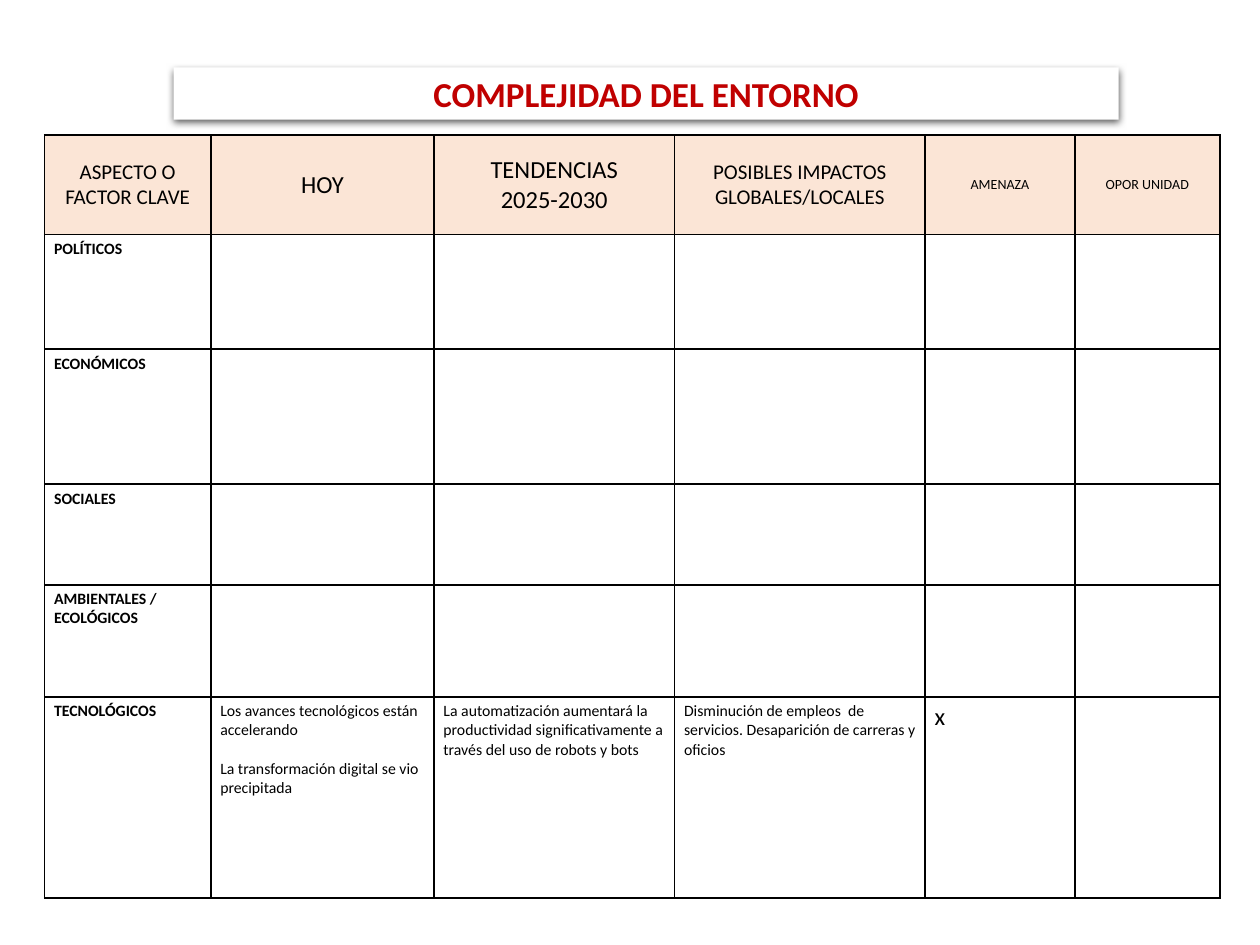
from lxml.etree import SubElement
from pptx import Presentation
from pptx.dml.color import RGBColor
from pptx.enum.text import MSO_ANCHOR, PP_ALIGN
from pptx.oxml import parse_xml
from pptx.oxml.ns import nsdecls, qn
from pptx.util import Cm, Pt

BLACK = RGBColor(0x00, 0x00, 0x00)
WHITE = RGBColor(0xFF, 0xFF, 0xFF)
RED = RGBColor(0xC0, 0x00, 0x00)
PEACH = RGBColor(0xFB, 0xE5, 0xD6)
FONT = "Calibri"

COLUMN_WIDTHS = [3.35, 4.5, 4.85, 5.05, 3.02, 2.92]
ROW_HEIGHTS = [2.01, 2.31, 2.72, 2.03, 2.26, 4.06]
HEADERS = [
    ("ASPECTO O FACTOR CLAVE", 12),
    ("HOY", 14),
    ("TENDENCIAS\n2025-2030", 14),
    ("POSIBLES IMPACTOS GLOBALES/LOCALES", 12),
    ("AMENAZA", 8),
    ("OPOR UNIDAD", 8),
]
FACTORS = ["POLÍTICOS", "ECONÓMICOS", "SOCIALES", "AMBIENTALES / ECOLÓGICOS", "TECNOLÓGICOS"]
TECHNOLOGY = [
    ("Los avances tecnológicos están accelerando\nLa transformación digital se vio precipitada", 9),
    ("La automatización aumentará la productividad significativamente a través del uso de robots y bots", 9),
    ("Disminución de empleos  de servicios. Desaparición de carreras y oficios", 9),
    ("x", 14),
]


def set_margins(target):
    target.margin_left = target.margin_right = Cm(0.19)
    target.margin_top = target.margin_bottom = Cm(0.1)


def format_paragraph(para, size, color=BLACK, bold=False, align=PP_ALIGN.LEFT):
    para.alignment = align
    para.font.name = FONT
    para.font.size = Pt(size)
    para.font.bold = bold
    para.font.color.rgb = color


def add_shadow(shape):
    shape._element.spPr.append(parse_xml(
        f'<a:effectLst {nsdecls("a")}>'
        '<a:outerShdw blurRad="57150" dist="19050" dir="5400000" algn="ctr" rotWithShape="0">'
        '<a:srgbClr val="000000"><a:alpha val="63000"/></a:srgbClr>'
        '</a:outerShdw></a:effectLst>'))


def add_borders(cell):
    properties = cell._tc.get_or_add_tcPr()
    for position, side in enumerate(("a:lnL", "a:lnR", "a:lnT", "a:lnB")):
        line = parse_xml(
            f'<{side} {nsdecls("a")} w="12700"><a:solidFill>'
            f'<a:srgbClr val="{BLACK}"/></a:solidFill></{side}>')
        properties.insert(position, line)


def fill_cell(cell, text, size, **style):
    cell.text = text
    for para in cell.text_frame.paragraphs:
        format_paragraph(para, size, **style)


def build_title(page, left, top, width, height):
    box = page.shapes.title
    box.left, box.top, box.width, box.height = Cm(left), Cm(top), Cm(width), Cm(height)
    box.fill.solid()
    box.fill.fore_color.rgb = WHITE
    add_shadow(box)
    frame = box.text_frame
    frame.text = "COMPLEJIDAD DEL ENTORNO"
    frame.vertical_anchor = MSO_ANCHOR.MIDDLE
    set_margins(frame)
    format_paragraph(frame.paragraphs[0], 20, RED, True, PP_ALIGN.CENTER)


def build_matrix(page, left, top):
    table = page.shapes.add_table(
        len(ROW_HEIGHTS), len(COLUMN_WIDTHS), Cm(left), Cm(top),
        Cm(sum(COLUMN_WIDTHS)), Cm(sum(ROW_HEIGHTS))).table
    for column, width in zip(table.columns, COLUMN_WIDTHS):
        column.width = Cm(width)
    for number, (row, height) in enumerate(zip(table.rows, ROW_HEIGHTS)):
        row.height = Cm(height)
        for cell in row.cells:
            cell.fill.solid()
            cell.fill.fore_color.rgb = WHITE if number else PEACH
            cell.vertical_anchor = MSO_ANCHOR.TOP if number else MSO_ANCHOR.MIDDLE
            set_margins(cell)
            add_borders(cell)

    for column, (text, size) in enumerate(HEADERS):
        fill_cell(table.cell(0, column), text, size, align=PP_ALIGN.CENTER)
    for number, factor in enumerate(FACTORS, 1):
        fill_cell(table.cell(number, 0), factor, 9, bold=True)
    for column, (text, size) in enumerate(TECHNOLOGY, 1):
        fill_cell(table.cell(len(FACTORS), column), text, size)
    table.cell(len(FACTORS), 1).text_frame.paragraphs[0].space_after = Pt(11)


def main():
    deck = Presentation()
    deck.slide_width, deck.slide_height = Cm(25.4), Cm(19.05)
    page = deck.slides.add_slide(deck.slide_layouts[5])
    build_matrix(page, 0.9, 2.72)
    build_title(page, 3.5, 1.36, 19.05, 1.05)
    deck.save("out.pptx")


if __name__ == "__main__":
    main()
